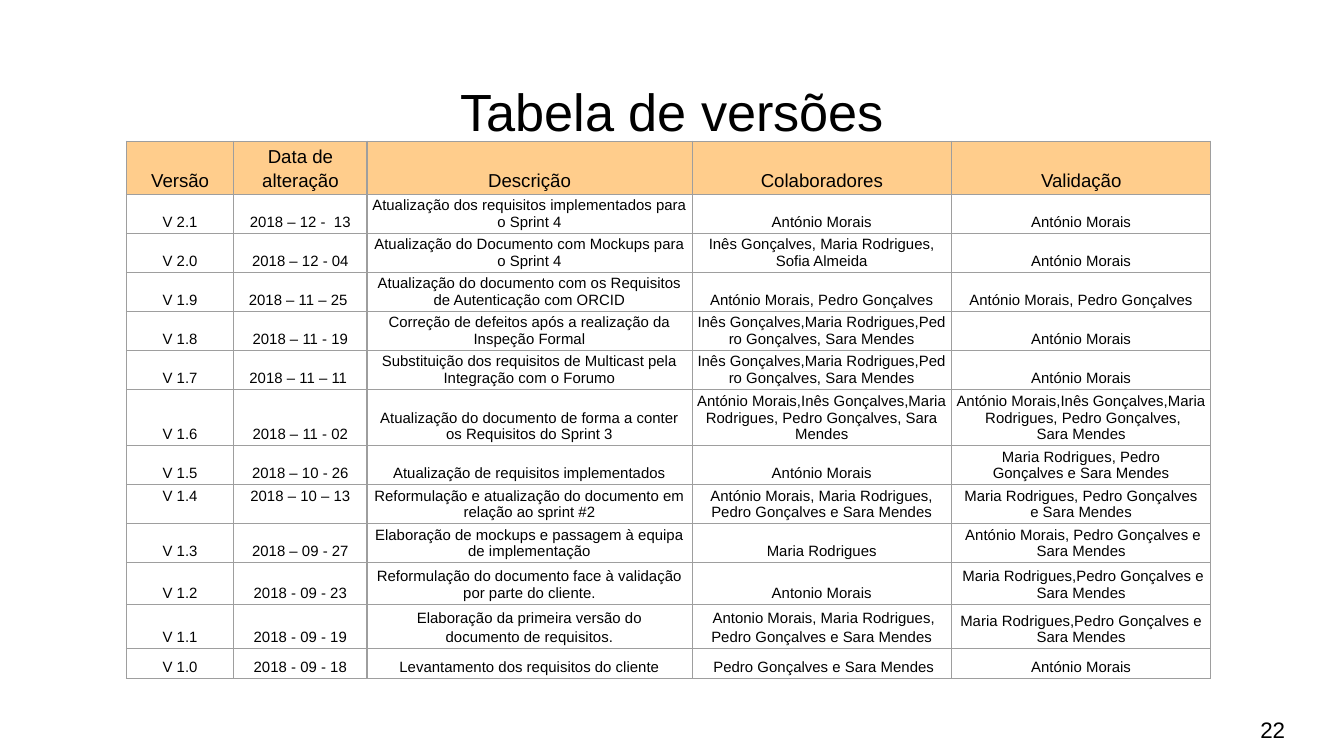
"""Build the slide with the table of document versions."""
from dataclasses import dataclass

from lxml import etree
from pptx import Presentation
from pptx import util as u
from pptx.dml.color import RGBColor
from pptx.enum import text
from pptx.oxml.ns import qn

FONT = "Arial"
BLACK, ORANGE, GREY = "000000", "FFCD8C", "9E9E9E"
NO_BREAK_SPACE = chr(160)
COLUMN_WIDTHS = (0.8, 0.99, 2.42, 1.93, 1.93)
TOP, BOTTOM = text.MSO_ANCHOR.TOP, text.MSO_ANCHOR.BOTTOM


@dataclass(frozen=True)
class Version:
    """One table row; a tilde in its cells stands for a no-break space."""
    cells: tuple[str, ...]
    height: float = 0.29
    size: int = 8
    fill: str | None = None
    spaced: bool = False
    anchor: text.MSO_ANCHOR = BOTTOM


@dataclass(frozen=True)
class Label:
    """A centred line of text in a box."""
    words: str
    left: float
    top: float
    width: float
    height: float
    size: int
    bottom_inset: float
    anchor: text.MSO_ANCHOR


LABELS = (
    Label("Tabela de versões", 0.34, 0.49, 9.32, 0.63, 28, 0.06, BOTTOM),
    Label("22", 9.09, 5.28, 0.76, 0.3, 12, 0.05, TOP),
)

VERSIONS = (
    Version(("Versão", "Data de alteração", "Descrição", "Colaboradores", "Validação"),
            height=0.39, size=10, fill=ORANGE, spaced=True),
    Version(("V 2.1", "2018 – 12 -  13",
             "Atualização dos requisitos implementados para o Sprint 4",
             "António Morais", "António Morais")),
    Version(("V 2.0", "2018 – 12 - 04",
             "Atualização do Documento com Mockups para o Sprint 4",
             "Inês Gonçalves, Maria Rodrigues, Sofia Almeida", "António Morais")),
    Version(("V 1.9", "2018 – 11 – 25~",
             "Atualização do documento com os Requisitos de Autenticação com ORCID",
             "António Morais, Pedro Gonçalves", "António Morais, Pedro Gonçalves")),
    Version(("V 1.8", "2018 – 11 - 19",
             "Correção de defeitos após a realização da Inspeção Formal",
             "Inês~Gonçalves,Maria~Rodrigues,Pedro~Gonçalves, Sara~Mendes",
             "António Morais")),
    Version(("V 1.7", "2018 – 11 – 11~",
             "Substituição dos requisitos de Multicast pela Integração com o Forumo",
             "Inês~Gonçalves,Maria~Rodrigues,Pedro Gonçalves, Sara~Mendes",
             "António~Morais")),
    Version(("V 1.6", "2018 – 11 - 02",
             "Atualização do documento de forma a conter os Requisitos do Sprint 3",
             "António Morais,Inês~Gonçalves,Maria Rodrigues, Pedro Gonçalves, Sara Mendes",
             "António~Morais,Inês~Gonçalves,Maria~Rodrigues, Pedro Gonçalves, Sara~Mendes"),
            height=0.42),
    Version(("V 1.5", "2018 – 10 - 26", "Atualização de requisitos implementados",
             "António Morais", "Maria Rodrigues,~Pedro Gonçalves~e~Sara Mendes")),
    Version(("V 1.4", "2018 – 10 – 13",
             "Reformulação~e atualização do documento em relação ao sprint #2",
             "António Morais,~Maria Rodrigues, Pedro Gonçalves e~Sara Mendes",
             "Maria Rodrigues,~Pedro Gonçalves e~Sara Mendes"), anchor=TOP),
    Version(("V 1.3", "2018 – 09 - 27",
             "Elaboração de mockups e passagem à equipa de implementação",
             "Maria Rodrigues", "~António Morais,~Pedro~Gonçalves e Sara Mendes")),
    Version(("V 1.2", "2018 - 09 - 23",
             "Reformulação do documento face à validação\npor~parte~do~cliente.",
             "Antonio Morais", "~Maria Rodrigues,Pedro Gonçalves e Sara Mendes"),
            height=0.31, spaced=True),
    Version(("V 1.1", "2018 - 09 - 19",
             "Elaboração da primeira versão do documento~de~requisitos.",
             "~Antonio Morais,~Maria Rodrigues, Pedro Gonçalves e Sara Mendes",
             "Maria~Rodrigues,Pedro~Gonçalves e Sara~Mendes"),
            height=0.33, spaced=True),
    Version(("V 1.0", "2018 - 09 - 18", "Levantamento dos requisitos do cliente",
             "~Pedro Gonçalves e~Sara Mendes", "António Morais"),
            height=0.22, spaced=True),
)


def colour(value: str) -> RGBColor:
    return RGBColor.from_string(value)


def write(frame, words: str, size: int, first_spacing: float = 1.0) -> None:
    frame.word_wrap = True
    frame.text = words.replace("~", NO_BREAK_SPACE)
    for index, paragraph in enumerate(frame.paragraphs):
        paragraph.alignment = text.PP_ALIGN.CENTER
        paragraph.line_spacing = first_spacing if index == 0 else 1.0
        paragraph.font.name = FONT
        paragraph.font.size = u.Pt(size)
        paragraph.font.color.rgb = colour(BLACK)


def add_borders(cell) -> None:
    properties = cell._tc.get_or_add_tcPr()
    for side in ("a:lnL", "a:lnR", "a:lnT", "a:lnB"):
        line = etree.SubElement(properties, qn(side), w=str(u.Pt(0.75)))
        solid = etree.SubElement(line, qn("a:solidFill"))
        etree.SubElement(solid, qn("a:srgbClr"), val=GREY)


def fill_row(table, row: int, version: Version) -> None:
    table.rows[row].height = u.Inches(version.height)
    last = len(version.cells) - 1
    for column, words in enumerate(version.cells):
        cell = table.cell(row, column)
        cell.margin_left = cell.margin_right = u.Inches(0.03)
        cell.margin_top = cell.margin_bottom = u.Inches(0.02)
        cell.vertical_anchor = version.anchor
        spacing = 1.15 if version.spaced and column < last else 1.0
        write(cell.text_frame, words, version.size, spacing)
        add_borders(cell)
        if version.fill:
            cell.fill.solid()
            cell.fill.fore_color.rgb = colour(version.fill)
        else:
            cell.fill.background()


def add_versions(page) -> None:
    height = sum(version.height for version in VERSIONS)
    table = page.shapes.add_table(
        len(VERSIONS), len(COLUMN_WIDTHS), u.Inches(0.94), u.Inches(1.05),
        u.Inches(sum(COLUMN_WIDTHS)), u.Inches(height)).table
    table.first_row = table.horz_banding = False
    for column, width in zip(table.columns, COLUMN_WIDTHS):
        column.width = u.Inches(width)
    for row, version in enumerate(VERSIONS):
        fill_row(table, row, version)


def add_label(page, label: Label) -> None:
    box = page.shapes.add_textbox(u.Inches(label.left), u.Inches(label.top),
                                  u.Inches(label.width), u.Inches(label.height))
    frame = box.text_frame
    frame.vertical_anchor = label.anchor
    frame.margin_bottom = u.Inches(label.bottom_inset)
    write(frame, label.words, label.size)


def main() -> None:
    deck = Presentation()
    deck.slide_width = u.Inches(10)
    deck.slide_height = deck.slide_width * 9 // 16
    page = deck.slides.add_slide(deck.slide_layouts[6])
    add_versions(page)
    for label in LABELS:
        add_label(page, label)
    deck.save("out.pptx")


if __name__ == "__main__":
    main()
